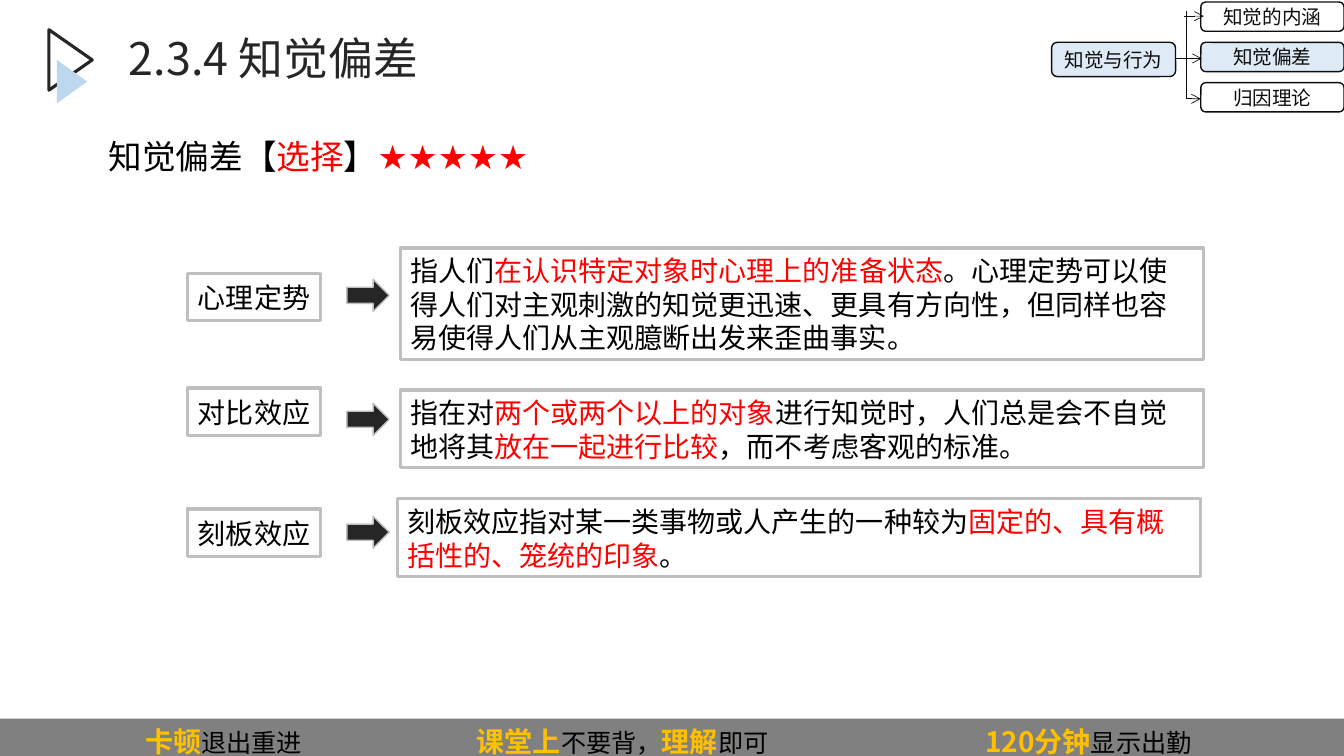
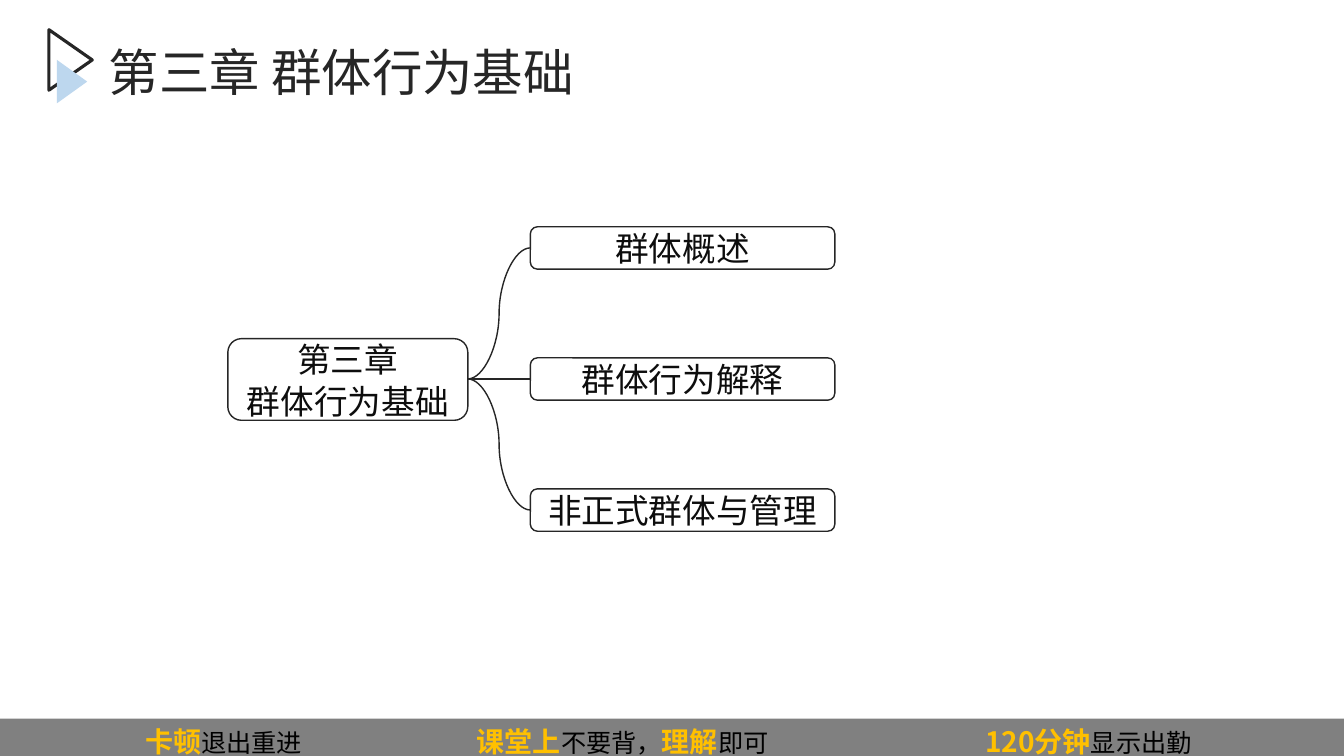
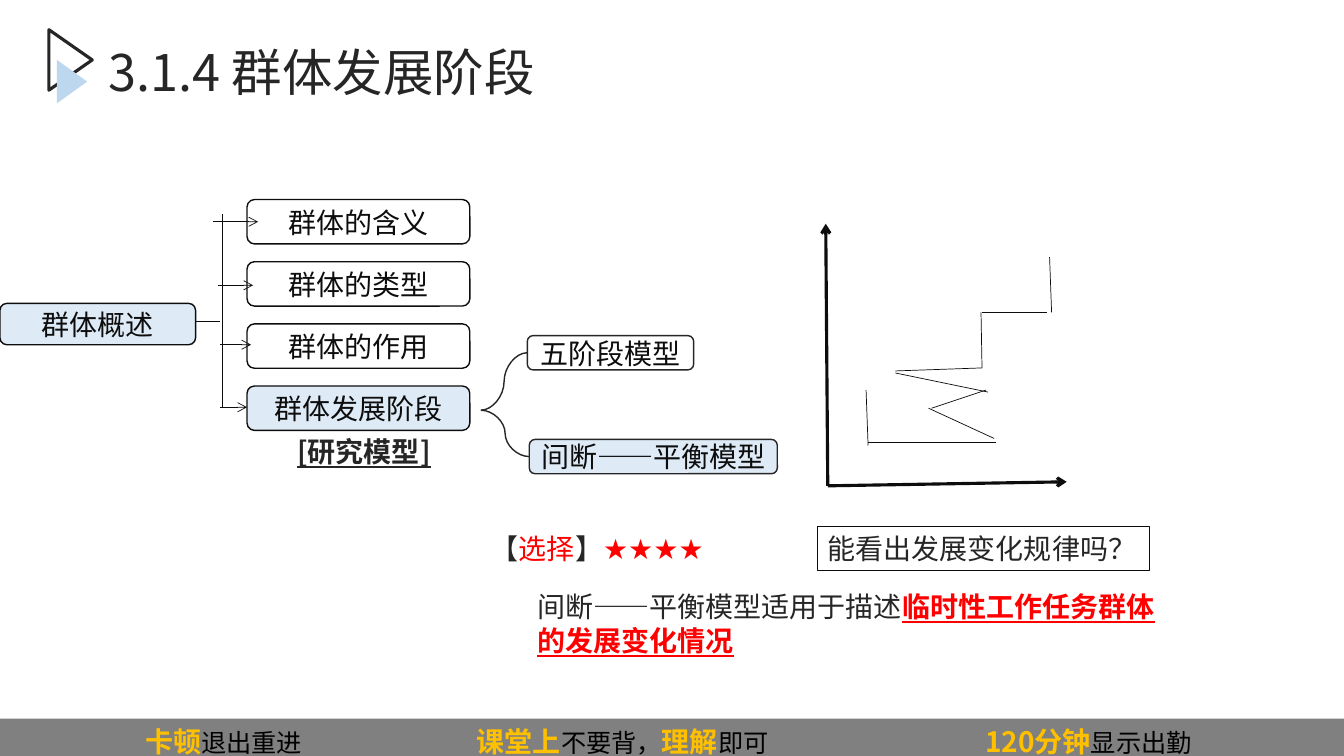
from lxml.etree import SubElement
from pptx import Presentation
from pptx.dml.color import RGBColor
from pptx.enum.shapes import MSO_CONNECTOR, MSO_SHAPE
from pptx.enum.text import MSO_ANCHOR, PP_ALIGN
from pptx.oxml.ns import qn
from pptx.util import Inches, Pt

COLORS = {
    "ink": "262626", "dark": "0D0D0D", "black": "000000", "red": "FF0000",
    "gold": "FFC000", "band": "808080", "frame": "BFBFBF",
    "sky": "BDD7EE", "pale": "DEEBF7",
}
FONT, STAR_FONT = "Noto Sans CJK SC", "DejaVu Sans"
LEADING = 1.21
KEY = {"color": "red"}
STRONG = {"color": "gold", "size": 20, "bold": True}


def rgb(name):
    return RGBColor.from_string(COLORS[name])


def inches(*values):
    return [Inches(v) for v in values]


def write(sp, paragraphs, size=20, color="black", align=PP_ALIGN.LEFT,
          anchor=MSO_ANCHOR.TOP, wrap=True, leading=LEADING, tabs=()):
    """Fill sp with paragraphs, each a list of strings or (string, format) pairs."""
    tf = sp.text_frame
    tf.word_wrap, tf.vertical_anchor = wrap, anchor
    for i, runs in enumerate(paragraphs):
        p = tf.add_paragraph() if i else tf.paragraphs[0]
        p.alignment, p.line_spacing = align, Pt(round(size * leading, 1))
        if tabs:
            tab_list = SubElement(p._p.get_or_add_pPr(), qn("a:tabLst"))
            for pos in tabs:
                SubElement(tab_list, qn("a:tab"), pos=str(Inches(pos)), algn="l")
        for run in runs:
            text, extra = (run, {}) if isinstance(run, str) else run
            values = {"size": size, "color": color, "name": FONT, **extra}
            r = p.add_run()
            r.text = text
            r.font.color.rgb = rgb(values.pop("color"))
            r.font.size = Pt(values.pop("size"))
            for key, value in values.items():
                setattr(r.font, key, value)
            SubElement(r._r.get_or_add_rPr(), qn("a:ea"), typeface=values["name"])


def shape(s, kind, box, fill=None, line=None, width=1.0):
    sp = s.shapes.add_shape(kind, *inches(*box))
    sp.shadow.inherit = False
    if fill:
        sp.fill.solid()
        sp.fill.fore_color.rgb = rgb(fill)
    else:
        sp.fill.background()
    if line:
        sp.line.color.rgb, sp.line.width = rgb(line), Pt(width)
    else:
        sp.line.fill.background()
    return sp


def text_box(s, box, runs, **style):
    write(s.shapes.add_textbox(*inches(*box)), [runs], **style)


def connect(s, start, end, width=0.5, color="dark", arrow=False,
            kind=MSO_CONNECTOR.STRAIGHT):
    c = s.shapes.add_connector(kind, *inches(*start, *end))
    c.line.color.rgb, c.line.width = rgb(color), Pt(width)
    if arrow:
        SubElement(c.line._get_or_add_ln(), qn("a:tailEnd"), type="arrow")
    SubElement(c._element.spPr, qn("a:effectLst"))


def node(s, box, lines, size, hot=False, line="dark", leading=LEADING):
    sp = shape(s, MSO_SHAPE.ROUNDED_RECTANGLE, box, "pale" if hot else None, line)
    write(sp, [[text] for text in lines], size, "dark", PP_ALIGN.CENTER,
          MSO_ANCHOR.MIDDLE, False, leading)


def new_slide(prs, title, title_box, title_size):
    s = prs.slides.add_slide(prs.slide_layouts[6])
    for box, look in (((0.4, 0.38, 0.6, 0.43), {"line": "ink", "width": 2.25}),
                      ((0.5, 0.66, 0.43, 0.3), {"fill": "sky"})):
        shape(s, MSO_SHAPE.ISOSCELES_TRIANGLE, box, **look).rotation = 90
    band = shape(s, MSO_SHAPE.RECTANGLE, (-0.01, 7.13, 13.34, 0.44), "band")
    band.text_frame.margin_left = Inches(1.45)
    write(band, [[("卡顿", STRONG), "退出重进\t", ("课堂上", STRONG), "不要背，",
                  ("理解", STRONG), "即可\t", ("120分钟", STRONG), "显示出勤"]],
          18, leading=1.35, tabs=(3.29, 8.33))
    text_box(s, title_box, [title], size=title_size, color="ink", leading=1.09)
    return s


def outline(s, box, root, root_box, items, hot, item_size, spine, arrows, stem, size):
    """Root node, spine and arrows to a column of items; offsets start at box."""
    x, y, w, h = box
    item_w, item_h = item_size
    pitch = (h - item_h) / (len(items) - 1)
    left, top, root_w, root_h = root_box
    node(s, (x + left, y + top, root_w, root_h), [root], size, True)
    spine_x, spine_top, spine_end = spine
    connect(s, (x + spine_x, y + spine_end), (x + spine_x, y + spine_top))
    stem_x, stem_y, stem_end, stem_width = stem
    connect(s, (x + stem_x, y + stem_y), (x + stem_end, y + stem_y), stem_width)
    for i, item in enumerate(items):
        node(s, (x + w - item_w, y + i * pitch, item_w, item_h), [item], size, i == hot)
    for start, row, end in arrows:
        connect(s, (x + start, y + row), (x + end, y + row), arrow=True)


def branches(s, origin, items, size):
    """Curves from origin to the left middle of each (box, text, hot)."""
    for box, text, hot in items:
        x, y, _, h = box
        connect(s, origin, (x, y + h / 2), 1, "ink", kind=MSO_CONNECTOR.CURVE)
        node(s, box, [text], size, hot, "ink")


def definition(s, y, h, term, term_dy, arrow_dy, runs, shift=0):
    """One row: term box, arrow and explanation, from the row's top y."""
    term_box = shape(s, MSO_SHAPE.RECTANGLE, (1.86, y + term_dy, 1.32, 0.47),
                     None, "frame", 2.25)
    write(term_box, [[term]], align=PP_ALIGN.CENTER, anchor=MSO_ANCHOR.MIDDLE, wrap=False)
    shape(s, MSO_SHAPE.RIGHT_ARROW, (3.44, y + arrow_dy, 0.42, 0.32), "ink", "frame")
    detail = shape(s, MSO_SHAPE.RECTANGLE, (3.97 + shift, y, 7.97, h), None, "frame", 2.25)
    write(detail, [runs])


def step_plot(s, box, strokes):
    """Two arrowed axes and thin strokes, as offsets from the box."""
    x, y, w, h = box
    corner = (x + 0.02, y + h)
    for tip in ((x, y), (x + w, y + h - 0.04)):
        connect(s, corner, tip, 2.25, arrow=True)
    for x1, y1, x2, y2 in strokes:
        connect(s, (x + x1, y + y1), (x + x2, y + y2))


def bias_slide(prs):
    s = new_slide(prs, "2.3.4 知觉偏差", (1.18, 0.3, 7.63, 0.89), 32)
    star = {"name": STAR_FONT}
    text_box(s, (0.98, 1.35, 11.5, 0.6),
             [("知觉偏差【", star), ("选择", {**star, **KEY}), ("】", star),
              ("★★★★★", {**star, **KEY})], size=24, leading=1.05)
    definition(s, 2.46, 1.11, "心理定势", 0.25, 0.31,
               ["指人们", ("在认识特定对象时心理上的准备状态", KEY),
                "。心理定势可以使得人们对主观刺激的知觉更迅速、更具有方向性，"
                "但同样也容易使得人们从主观臆断出发来歪曲事实。"])
    definition(s, 3.87, 0.77, "对比效应", -0.02, 0.13,
               ["指在对", ("两个或两个以上的对象", KEY),
                "进行知觉时，人们总是会不自觉地将其", ("放在一起进行比较", KEY),
                "，而不考虑客观的标准。"])
    definition(s, 4.95, 0.77, "刻板效应", 0.1, 0.17,
               ["刻板效应指对某一类事物或人产生的一种较为",
                ("固定的、具有概括性的、笼统的印象", KEY), "。"], -0.03)
    outline(s, (10.43, 0.02, 2.9, 1.09), "知觉与行为", (0, 0.4, 1.23, 0.34),
            ["知觉的内涵", "知觉偏差", "归因理论"], 1, (1.42, 0.29),
            (1.34, 0.09, 0.96),
            [(1.31, 0.14, 1.51), (1.33, 0.56, 1.49), (1.34, 0.96, 1.48)],
            (1.23, 0.56, 1.36, 0.5), 14)


def chapter_slide(prs):
    s = new_slide(prs, "第三章 群体行为基础", (0.98, 0.41, 12, 0.93), 36)
    node(s, (2.26, 3.36, 2.38, 0.81), ["第三章", "群体行为基础"], 24,
         line="ink", leading=1.25)
    topics = ["群体概述", "群体行为解释", "非正式群体与管理"]
    branches(s, (4.64, 3.76), [((5.26, 2.25 + 1.3 * i, 3.02, 0.42), topic, False)
                               for i, topic in enumerate(topics)], 24)


def stages_slide(prs):
    s = new_slide(prs, "3.1.4 群体发展阶段", (0.98, 0.41, 12, 0.93), 36)
    outline(s, (0, 1.98, 4.66, 2.29), "群体概述", (0, 1.03, 1.94, 0.41),
            ["群体的含义", "群体的类型", "群体的作用", "群体发展阶段"], 3, (2.21, 0.44),
            (2.21, 0.14, 2.06),
            [(2.11, 0.22, 2.56), (2.16, 0.85, 2.51), (2.18, 1.44, 2.49),
             (2.18, 2.06, 2.45)],
            (1.94, 1.21, 2.18, 0.5), 20)
    branches(s, (4.77, 4.07), [((5.23, 3.33, 1.65, 0.34), "五阶段模型", False),
                               ((5.25, 4.36, 2.46, 0.34), "间断——平衡模型", True)], 20)
    emphasis = {"bold": True, "underline": True}
    text_box(s, (2.85, 4.26, 1.57, 0.44), [("[研究模型]", emphasis)], color="ink")
    text_box(s, (4.77, 5.22, 2.42, 0.44),
             ["【", ("选择", KEY), "】", ("★★★★", {"name": STAR_FONT, **KEY})],
             color="ink", wrap=False)
    step_plot(s, (8.19, 2.22, 2.39, 2.6), [
        (0.4, 1.65, 0.42, 2.2), (0.42, 2.17, 1.69, 2.17), (1.67, 2.13, 1.02, 1.83),
        (1.05, 1.83, 1.59, 1.65), (1.61, 1.67, 0.69, 1.48), (1.55, 1.43, 0.69, 1.46),
        (1.54, 0.88, 1.55, 1.43), (1.55, 0.88, 2.19, 0.88), (2.22, 0.33, 2.24, 0.88)])
    question = shape(s, MSO_SHAPE.RECTANGLE, (8.11, 5.22, 3.29, 0.44), None, "dark", 0.75)
    write(question, [["能看出发展变化规律吗？"]], color="ink", wrap=False)
    text_box(s, (5.23, 5.8, 6.32, 0.77),
             ["间断——平衡模型适用于描述",
              ("临时性工作任务群体的发展变化情况", {**KEY, **emphasis})], color="ink")


def main():
    prs = Presentation()
    prs.slide_width, prs.slide_height = inches(13.33, 7.5)
    for build in (bias_slide, chapter_slide, stages_slide):
        build(prs)
    prs.save("out.pptx")


if __name__ == "__main__":
    main()
